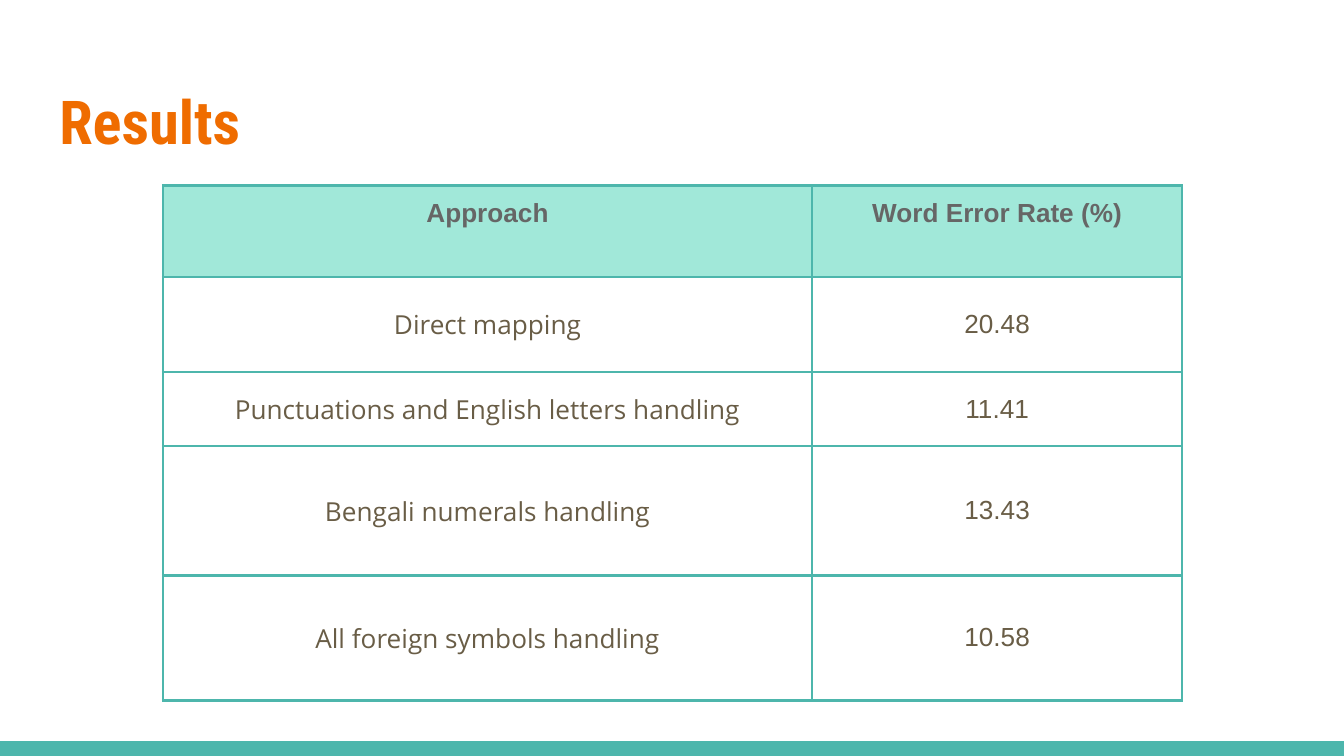
from typing import NamedTuple

from lxml.etree import SubElement
from pptx import Presentation
from pptx.dml.color import RGBColor
from pptx.enum.shapes import MSO_SHAPE
from pptx.enum.text import MSO_ANCHOR, MSO_AUTO_SIZE, PP_ALIGN
from pptx.oxml.ns import qn
from pptx.util import Cm, Pt

COLORS = {
    "teal": "4DB6AC",
    "mint": "A1E8D9",
    "orange": "EF6C00",
    "gray": "666666",
    "brown": "695D46",
}
PADDING = Cm(0.25)
BORDER_WIDTH = Pt(1.5)
COLUMN_WIDTHS = (12.27, 6.99)


class Style(NamedTuple):
    font: str
    size: float
    color: str
    bold: bool = False


class ResultRow(NamedTuple):
    approach: str
    error_rate: str
    height: float


HEADING = Style("Roboto Condensed", 32.4, "orange", True)
HEADER = Style("Arial", 14, "gray", True)
APPROACH = Style("Open Sans", 14, "brown")
RATE = Style("Arial", 14, "brown")

RESULTS = (
    ResultRow("Approach", "Word Error Rate (%)", 1.73),
    ResultRow("Direct mapping", "20.48", 1.8),
    ResultRow("Punctuations and English letters handling", "11.41", 1.4),
    ResultRow("Bengali numerals handling", "13.43", 2.44),
    ResultRow("All foreign symbols handling", "10.58", 2.36),
)


def rgb(name: str) -> RGBColor:
    return RGBColor.from_string(COLORS[name])


def set_all(target, values: dict) -> None:
    for attribute, value in values.items():
        setattr(target, attribute, value)


def write(frame, text: str, style: Style, align: PP_ALIGN) -> None:
    paragraph = frame.paragraphs[0]
    paragraph.alignment = align
    run = paragraph.add_run()
    run.text = text
    set_all(run.font, {"name": style.font, "size": Pt(style.size), "bold": style.bold})
    run.font.color.rgb = rgb(style.color)


def add_borders(cell) -> None:
    properties = cell._tc.get_or_add_tcPr()
    for position, side in enumerate(("lnL", "lnR", "lnT", "lnB")):
        line = SubElement(properties, qn(f"a:{side}"), w=str(BORDER_WIDTH))
        fill = SubElement(line, qn("a:solidFill"))
        SubElement(fill, qn("a:srgbClr"), val=COLORS["teal"])
        properties.insert(position, line)


def fill_cell(cell, text: str, style: Style, is_header: bool) -> None:
    set_all(cell, {
        "margin_left": PADDING,
        "margin_right": PADDING,
        "margin_top": PADDING,
        "margin_bottom": PADDING,
        "vertical_anchor": MSO_ANCHOR.TOP if is_header else MSO_ANCHOR.MIDDLE,
    })
    if is_header:
        cell.fill.solid()
        cell.fill.fore_color.rgb = rgb("mint")
    else:
        cell.fill.background()
    add_borders(cell)
    write(cell.text_frame, text, style, PP_ALIGN.CENTER)


def add_results(slide, results: tuple[ResultRow, ...]) -> None:
    table = slide.shapes.add_table(
        len(results), len(COLUMN_WIDTHS), Cm(3.08), Cm(3.5),
        Cm(sum(COLUMN_WIDTHS)), Cm(sum(row.height for row in results)),
    ).table
    set_all(table, {"first_row": False, "horz_banding": False})
    for column, width in zip(table.columns, COLUMN_WIDTHS):
        column.width = Cm(width)
    for index, result in enumerate(results):
        table.rows[index].height = Cm(result.height)
        is_header = index == 0
        styles = (HEADER, HEADER) if is_header else (APPROACH, RATE)
        texts = (result.approach, result.error_rate)
        for cell, text, style in zip(table.rows[index].cells, texts, styles):
            fill_cell(cell, text, style, is_header)


def main() -> None:
    presentation = Presentation()
    set_all(presentation, {"slide_width": Cm(25.4), "slide_height": Cm(14.28)})
    slide = presentation.slides.add_slide(presentation.slide_layouts[5])

    # Bottom band
    band_height = Cm(0.28)
    band = slide.shapes.add_shape(
        MSO_SHAPE.RECTANGLE, 0, presentation.slide_height - band_height,
        presentation.slide_width, band_height,
    )
    band.shadow.inherit = False
    band.fill.solid()
    band.fill.fore_color.rgb = rgb("teal")
    band.line.fill.background()

    # Title
    title = slide.shapes.title
    set_all(title, {"left": Cm(0.87), "top": Cm(1.3), "width": Cm(23.66), "height": Cm(1.95)})
    set_all(title.text_frame, {
        "margin_left": PADDING,
        "margin_right": PADDING,
        "margin_top": PADDING,
        "margin_bottom": PADDING,
        "vertical_anchor": MSO_ANCHOR.MIDDLE,
        "auto_size": MSO_AUTO_SIZE.NONE,
        "word_wrap": True,
    })
    write(title.text_frame, "Results", HEADING, PP_ALIGN.LEFT)

    # Error rates by approach
    add_results(slide, RESULTS)

    presentation.save("out.pptx")


if __name__ == "__main__":
    main()
